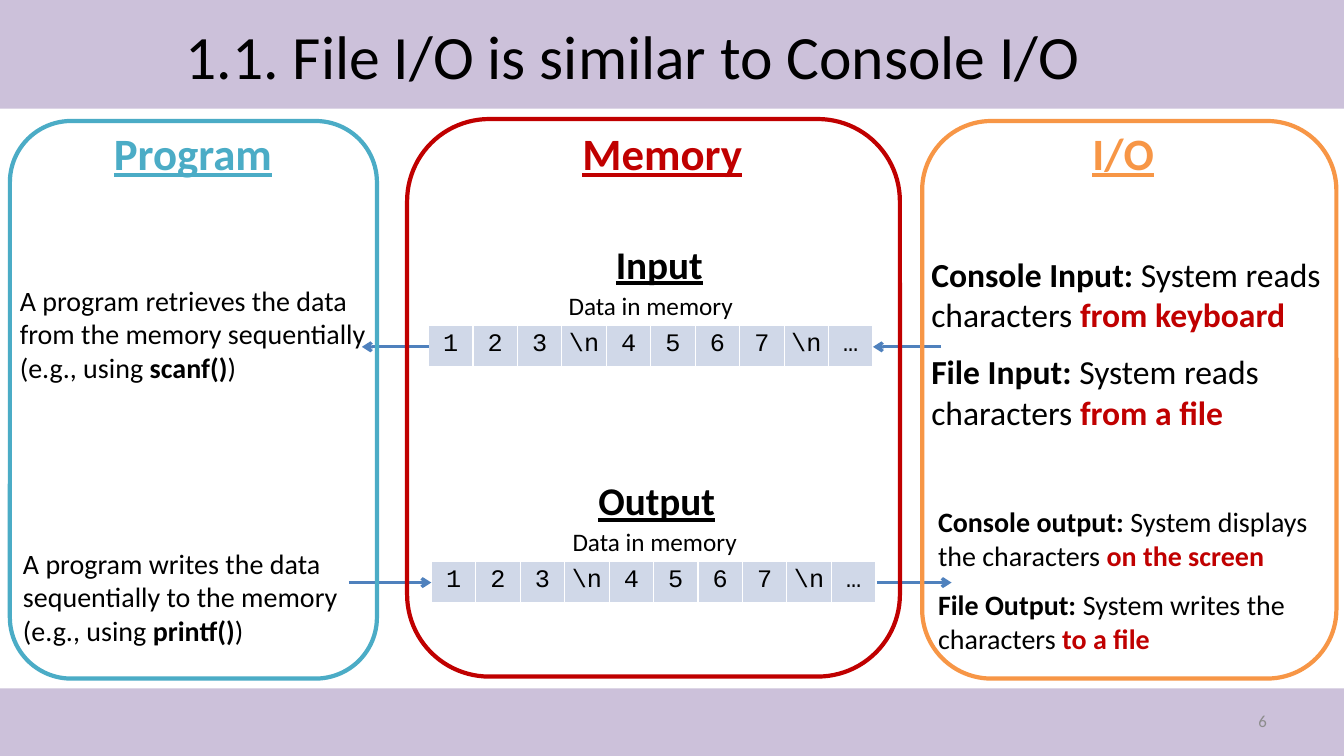
from lxml.etree import SubElement
from pptx import Presentation
from pptx.dml.color import RGBColor
from pptx.enum.shapes import MSO_CONNECTOR, MSO_SHAPE
from pptx.enum.text import MSO_ANCHOR, MSO_AUTO_SIZE, PP_ALIGN
from pptx.oxml.ns import qn
from pptx.util import Cm, Pt

LAVENDER, BLUE, PALE_BLUE = "CCC1DA", "4F81BD", "D0D8E8"
TEAL, RED, ORANGE = "4BACC6", "C00000", "F79646"


def paint(color_format, color):
    color_format.rgb = RGBColor.from_string(color)


def write(para, text, size, color="000000", font="Calibri", bold=False,
          underline=False, align=PP_ALIGN.LEFT):
    para.alignment = align
    span = para.add_run()
    span.text = text
    span.font.name = font
    span.font.size = Pt(size)
    span.font.bold = bold
    span.font.underline = underline
    paint(span.font.color, color)


deck = Presentation()
deck.slide_width, deck.slide_height = Cm(33.87), Cm(19.05)
page = deck.slides.add_slide(deck.slide_layouts[5])

# Bands at top and bottom
for top, height in [(0, 2.74), (17.35, 1.7)]:
    band = page.shapes.add_shape(MSO_SHAPE.RECTANGLE, 0, Cm(top), deck.slide_width, Cm(height))
    band.shadow.inherit = False
    band.fill.solid()
    paint(band.fill.fore_color, LAVENDER)
    band.line.fill.background()

# Title, brought in front of the top band
title = page.shapes.title
title.left, title.top, title.width, title.height = Cm(4.42), Cm(0.2), Cm(25), Cm(2.34)
title.text_frame.auto_size = MSO_AUTO_SIZE.NONE
title.text_frame.vertical_anchor = MSO_ANCHOR.MIDDLE
write(title.text_frame.paragraphs[0], "1.1. File I/O is similar to Console I/O", 44)
title.element.getparent().append(title.element)

# Memory cells for input and output
for left, top in [(10.8, 8.2), (10.87, 14.15)]:
    characters = ["1", "2", "3", "\\n", "4", "5", "6", "7", "\\n", "…"]
    memory = page.shapes.add_table(1, len(characters), Cm(left), Cm(top), Cm(11.2), Cm(1.04)).table
    memory.first_row = memory.horz_banding = False
    for column, character in enumerate(characters):
        memory.columns[column].width = Cm(1.12)
        cell = memory.cell(0, column)
        cell.margin_left = cell.margin_right = Cm(0.12)
        cell.margin_top = cell.margin_bottom = Cm(0.12)
        properties = cell._tc.get_or_add_tcPr()
        for side in ["a:lnL", "a:lnR", "a:lnT", "a:lnB"]:
            border = SubElement(properties, qn(side), w=str(Pt(1)))
            SubElement(SubElement(border, qn("a:solidFill")), qn("a:srgbClr"), val="FFFFFF")
        cell.fill.solid()
        paint(cell.fill.fore_color, PALE_BLUE)
        write(cell.text_frame.paragraphs[0], character, 18, font="Courier New",
              align=PP_ALIGN.CENTER)

# Arrows: input runs leftwards, output rightwards
for start, end, height in [(10.8, 9.12, 8.74), (23.72, 22, 8.74),
                           (8.79, 10.87, 14.68), (22.1, 23.98, 14.68)]:
    arrow = page.shapes.add_connector(MSO_CONNECTOR.STRAIGHT, Cm(start), Cm(height),
                                      Cm(end), Cm(height))
    paint(arrow.line.color, BLUE)
    arrow.line.width = Pt(2.25)
    SubElement(arrow.line._get_or_add_ln(), qn("a:tailEnd"), type="arrow")
    SubElement(arrow.element.spPr, qn("a:effectLst"))

# Frames of the three columns
for left, top, width, color in [(10.26, 3, 12.42, RED), (0.25, 3.05, 9.25, TEAL),
                                (23.24, 3.05, 10.44, ORANGE)]:
    frame = page.shapes.add_shape(MSO_SHAPE.ROUNDED_RECTANGLE, Cm(left), Cm(top),
                                  Cm(width), Cm(14.05))
    frame.shadow.inherit = False
    frame.fill.background()
    paint(frame.line.color, color)
    frame.line.width = Pt(3)

# Texts: position, size, gap between paragraphs, paragraphs made of spans
strong = {"bold": True}
key = {"bold": True, "color": RED}
heading = {"bold": True, "underline": True}
centred = {"align": PP_ALIGN.CENTER}
texts = [
    (2.62, 3.05, 4.78, 1.47, 32, 0, [[("Program", heading | {"color": TEAL})]]),
    (14.43, 3.05, 4.62, 1.47, 32, 0, [[("Memory", heading | {"color": RED})]]),
    (27.28, 3.05, 2.26, 1.47, 32, 0, [[("I/O", heading | {"color": ORANGE})]]),
    (15.27, 5.92, 2.97, 1.47, 28, 0, [[("Input", heading)]]),
    (14.83, 11.89, 3.78, 1.47, 28, 0, [[("Output", heading)]]),
    (10.8, 7.19, 11.2, 1.07, 18, 0, [[("Data in memory", centred)]]),
    (10.9, 13.13, 11.2, 1.07, 18, 0, [[("Data in memory", centred)]]),
    (0.25, 7.01, 9.5, 3.81, 20, 0, [
        [("A program retrieves the data from the memory sequentially (e.g., using ", {}),
         ("scanf()", strong), (")", {})]]),
    (0.33, 13.64, 9.37, 3.61, 20, 0, [
        [("A program writes the data sequentially to the memory (e.g., using ", {}),
         ("printf()", strong), (")", {})]]),
    (23.22, 6.27, 10.44, 4.98, 24, 12, [
        [("Console Input:", strong), (" System reads characters ", {}), ("from keyboard", key)],
        [("File Input:", strong), (" System reads characters ", {}), ("from a file", key)]]),
    (23.39, 12.6, 10.48, 5.51, 20, 11, [
        [("Console output:", strong), (" System displays the characters ", {}),
         ("on the screen", key)],
        [("File Output:", strong), (" System writes the characters ", {}), ("to a file", key)]]),
    (24.28, 17.65, 7.9, 1.02, 12, 0, [[("6", {"color": "8C8C8C", "align": PP_ALIGN.RIGHT})]]),
]
for left, top, width, height, size, gap, paragraphs in texts:
    box = page.shapes.add_textbox(Cm(left), Cm(top), Cm(width), Cm(height))
    box.text_frame.word_wrap = True
    for number, spans in enumerate(paragraphs):
        para = box.text_frame.add_paragraph() if number else box.text_frame.paragraphs[0]
        if number:
            para.space_before = Pt(gap)
        for text, style in spans:
            write(para, text, size, **style)

# The page number, added last, sits in the middle of its band
box.text_frame.vertical_anchor = MSO_ANCHOR.MIDDLE

deck.save("out.pptx")
